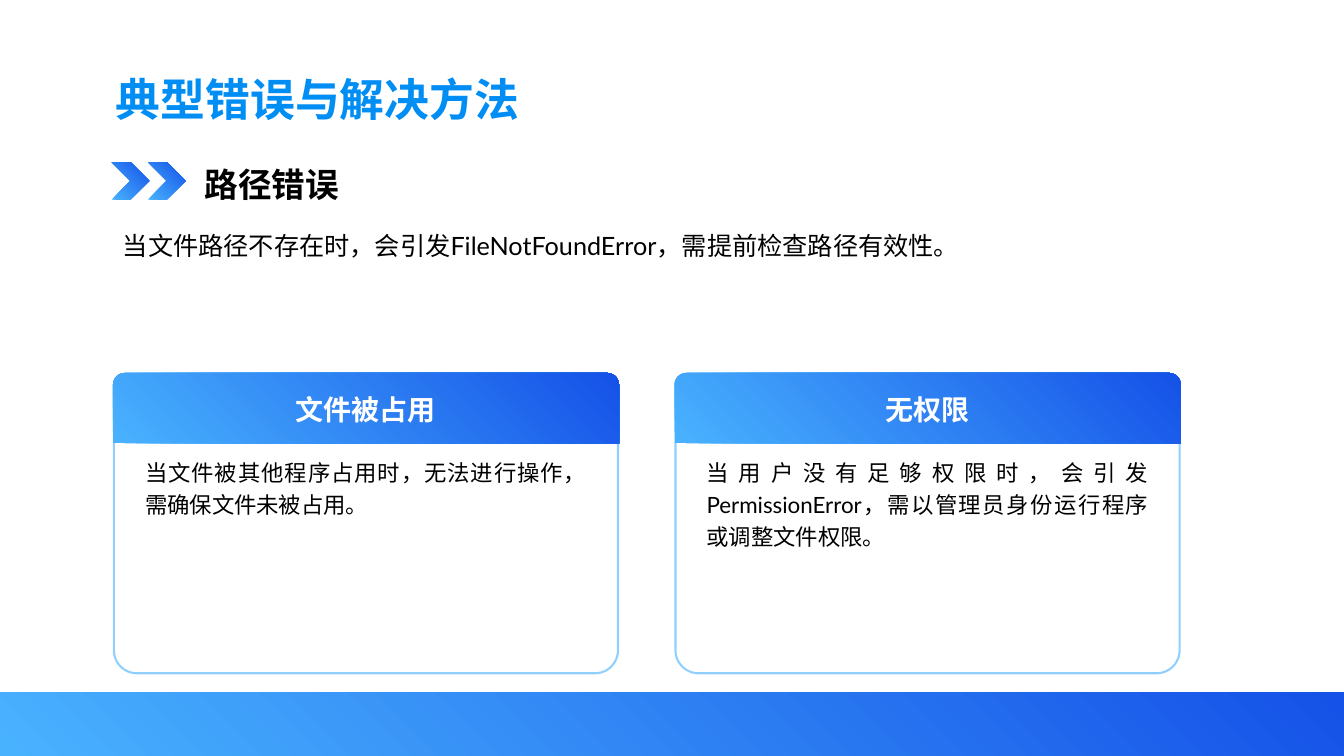
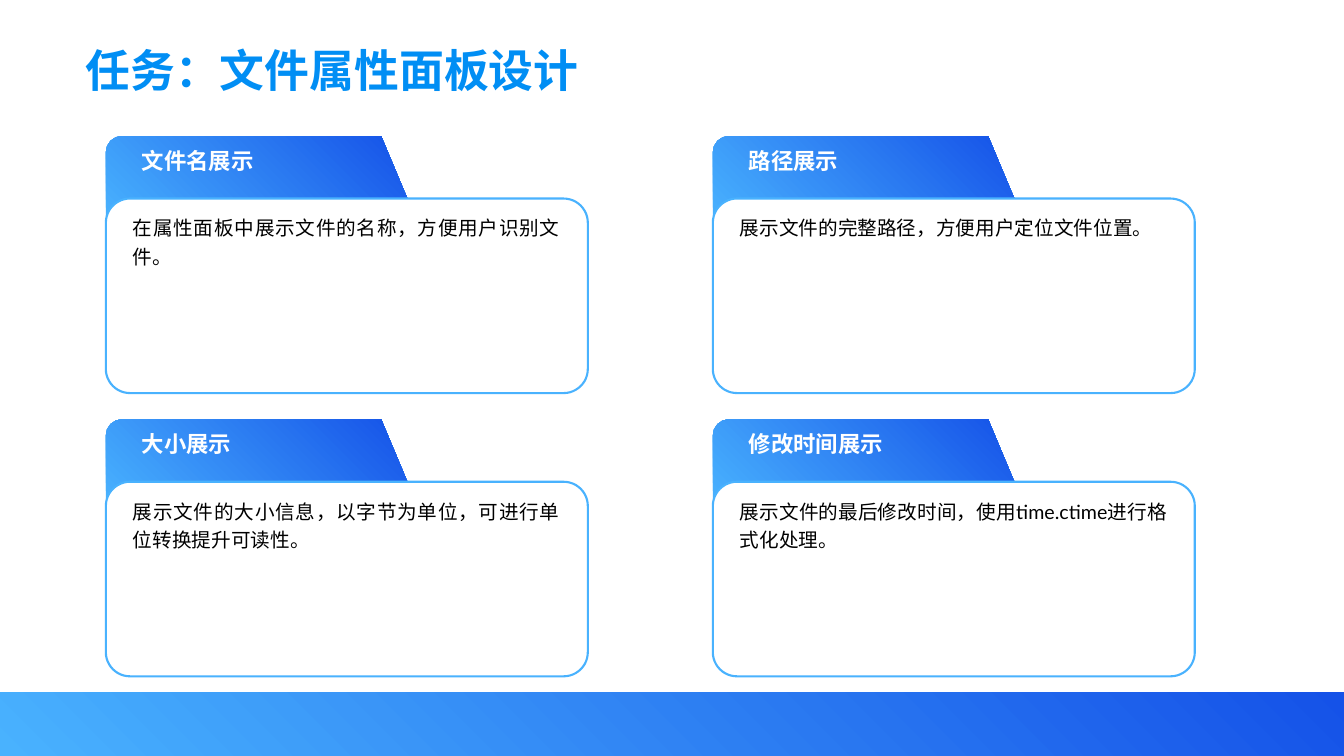
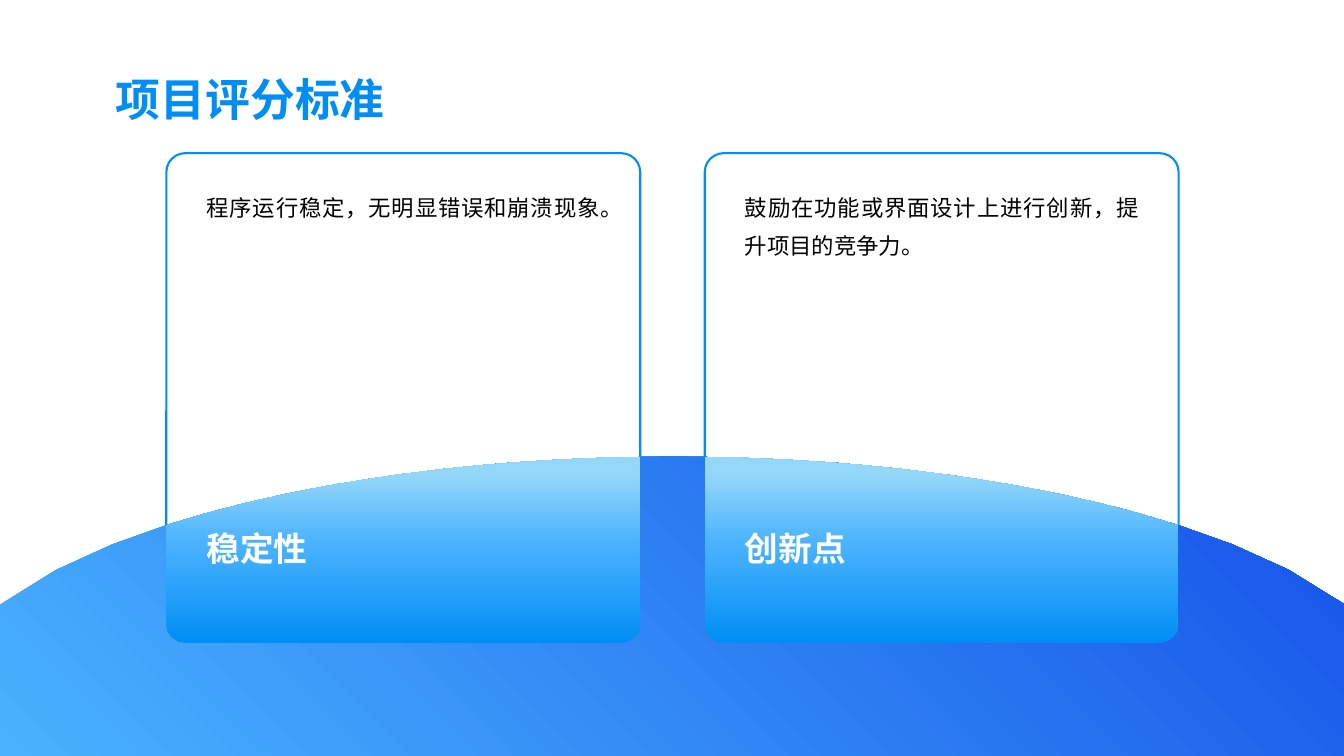
from copy import deepcopy
from dataclasses import dataclass
from math import cos, radians, sin, sqrt

from lxml.etree import SubElement
from pptx import Presentation
from pptx.dml.color import RGBColor
from pptx.enum.shapes import MSO_SHAPE as Shape
from pptx.enum.text import MSO_ANCHOR as Anchor, PP_ALIGN as Align
from pptx.oxml.ns import qn
from pptx.util import Inches, Pt


@dataclass(frozen=True)
class Theme:
    font: str = "Lato"
    title: str = "018EF4"
    sky: str = "49B2FE"
    royal: str = "1552E8"
    pale: str = "95D7F9"
    white: str = "FFFFFF"
    black: str = "000000"
    title_size: int = 32
    heading_size: int = 24
    header_size: int = 20
    lead_size: int = 18
    body_size: int = 16
    small_size: int = 14
    line_width: float = 1.5


THEME = Theme()
DIAGONAL = ([(0, THEME.sky), (1, THEME.royal)], 45)
RISING = ([(0, THEME.title), (0.53, THEME.sky), (0.91, THEME.pale), (1, THEME.pale)], 90)
WIDTH, HEIGHT = 13.33, 7.5

ERRORS = {
    "title": "典型错误与解决方法",
    "heading": "路径错误",
    "lead": "当文件路径不存在时，会引发FileNotFoundError，需提前检查路径有效性。",
    "cards": [
        ("文件被占用", "当文件被其他程序占用时，无法进行操作，需确保文件未被占用。"),
        ("无权限", "当用户没有足够权限时，会引发PermissionError，需以管理员身份运行程序或调整文件权限。"),
    ],
}
PANEL = {
    "title": "任务：文件属性面板设计",
    "folders": [
        ("文件名展示", "在属性面板中展示文件的名称，方便用户识别文件。"),
        ("路径展示", "展示文件的完整路径，方便用户定位文件位置。"),
        ("大小展示", "展示文件的大小信息，以字节为单位，可进行单位转换提升可读性。"),
        ("修改时间展示", "展示文件的最后修改时间，使用time.ctime进行格式化处理。"),
    ],
}
CRITERIA = {
    "title": "项目评分标准",
    "cards": [
        ("稳定性", "程序运行稳定，无明显错误和崩溃现象。"),
        ("创新点", "鼓励在功能或界面设计上进行创新，提升项目的竞争力。"),
    ],
}


def paint_gradient(shape, gradient):
    stops, angle = gradient
    fill = shape.fill
    fill.gradient()
    fill.gradient_angle = angle
    stop_list = shape.element.spPr.gradFill.gsLst
    while len(stop_list) < len(stops):
        stop_list.append(deepcopy(stop_list[-1]))
    for stop, (position, color) in zip(fill.gradient_stops, stops):
        stop.position = position
        stop.color.rgb = RGBColor.from_string(color)
    shape.line.fill.background()
    shape.shadow.inherit = False


def add_gradient_shape(page, kind, left, top, width, height):
    shape = page.shapes.add_shape(kind, *map(Inches, (left, top, width, height)))
    paint_gradient(shape, DIAGONAL)


def add_outline(page, points, gradient):
    """Draw a closed, gradient-filled outline through points in inches."""
    start, *rest = [(Inches(x), Inches(y)) for x, y in points]
    builder = page.shapes.build_freeform(*start)
    builder.add_line_segments(rest, close=True)
    paint_gradient(builder.convert_to_shape(), gradient)


def add_frame(page, left, top, width, height, rounding, color, opacity=100):
    frame = page.shapes.add_shape(
        Shape.ROUNDED_RECTANGLE, *map(Inches, (left, top, width, height)))
    frame.adjustments[0] = rounding
    frame.fill.solid()
    frame.fill.fore_color.rgb = RGBColor.from_string(THEME.white)
    frame.line.color.rgb = RGBColor.from_string(color)
    frame.line.width = Pt(THEME.line_width)
    frame.shadow.inherit = False
    if opacity < 100:
        line_color = frame.element.spPr.find(qn("a:ln")).find(".//" + qn("a:srgbClr"))
        SubElement(line_color, qn("a:alpha")).set("val", str(opacity * 1000))


def add_text(page, text, left, top, width, height, size, color=THEME.black,
             bold=False, align=Align.JUSTIFY, spacing=None):
    box = page.shapes.add_textbox(*map(Inches, (left, top, width, height)))
    frame = box.text_frame
    frame.word_wrap = True
    frame.vertical_anchor = Anchor.TOP
    para = frame.paragraphs[0]
    para.text = text
    para.alignment = align
    if spacing:
        para.line_spacing = spacing
    font = para.font
    font.name, font.size, font.bold = THEME.font, Pt(size), bold
    font.color.rgb = RGBColor.from_string(color)


def add_page(deck, title, left=1.05, top=0.66, band=True):
    page = deck.slides.add_slide(deck.slide_layouts[6])
    add_text(page, title, left, top, 10.72, 0.64, THEME.title_size, THEME.title,
             bold=True, align=Align.LEFT)
    if band:
        add_gradient_shape(page, Shape.RECTANGLE, 0, 6.87, WIDTH, 0.63)
    return page


def arc(x, y, radius, start, end, steps=4):
    """Points on a circle; angles in degrees, clockwise from the right."""
    angles = [radians(start + (end - start) * i / steps) for i in range(steps + 1)]
    return [(x + radius * cos(a), y + radius * sin(a)) for a in angles]


def dome_curve(left, right, steps):
    """Points along the top of the wide ellipse, from left to right."""
    center, top, half_width, half_height = 6.67, 4.53, 7.32, 2.5
    xs = [left + (right - left) * i / steps for i in range(steps + 1)]
    return [(x, top + half_height * (1 - sqrt(1 - ((x - center) / half_width) ** 2)))
            for x in xs]


def build_errors(deck):
    page = add_page(deck, ERRORS["title"])
    for left in (1.11, 1.47):
        add_gradient_shape(page, Shape.CHEVRON, left, 1.61, 0.37, 0.37)
    add_text(page, ERRORS["heading"], 1.93, 1.58, 5.08, 0.5, THEME.heading_size, bold=True)
    add_text(page, ERRORS["lead"], 1.12, 2.15, 10.71, 1.28, THEME.lead_size, spacing=1.3)
    for column, (header, body) in enumerate(ERRORS["cards"]):
        left = 1.13 + column * 5.57
        add_frame(page, left, 3.71, 5, 2.97, 0.077, THEME.sky, opacity=60)
        add_gradient_shape(page, Shape.ROUND_2_SAME_RECTANGLE, left - 0.01, 3.7, 5.02, 0.7)
        add_text(page, header, left + 0.2, 3.84, 4.6, 0.44, THEME.header_size,
                 THEME.white, bold=True, align=Align.CENTER)
        add_text(page, body, left + 0.21, 4.45, 4.58, 2.04, THEME.body_size, spacing=1.2)


def build_panel(deck):
    page = add_page(deck, PANEL["title"], 0.75, 0.37)
    for index, (header, body) in enumerate(PANEL["folders"]):
        row, column = divmod(index, 2)
        left, top = 1.05 + column * 6.02, 1.35 + row * 2.81
        fold = top + 0.62
        tab = [
            *arc(left + 0.16, top + 0.16, 0.16, 180, 270),
            (left + 2.73, top),
            (left + 2.99, fold),
            *arc(left + 0.25, fold + 0.25, 0.25, 270, 180),
        ]
        add_outline(page, tab, DIAGONAL)
        add_frame(page, left, fold, 4.78, 1.93, 0.124, THEME.sky)
        add_text(page, header, left + 0.26, top + 0.06, 2.46, 0.64, THEME.body_size,
                 THEME.white, bold=True)
        add_text(page, body, left + 0.17, fold + 0.08, 4.43, 1.77, THEME.small_size,
                 spacing=1.2)


def build_criteria(deck):
    page = add_page(deck, CRITERIA["title"], band=False)
    top, width, height, radius = 1.52, 4.7, 4.86, 0.19
    bottom = top + height
    lefts = [1.65 + column * 5.34 for column in range(len(CRITERIA["cards"]))]
    for left in lefts:
        add_frame(page, left, top, width, height, 0.04, THEME.title)
    add_outline(page, [*dome_curve(0, WIDTH, 24), (WIDTH, HEIGHT), (0, HEIGHT)], DIAGONAL)
    for left, (header, body) in zip(lefts, CRITERIA["cards"]):
        right = left + width
        panel = [
            *dome_curve(left, right, 12),
            *arc(right - radius, bottom - radius, radius, 0, 90),
            *arc(left + radius, bottom - radius, radius, 90, 180),
        ]
        add_outline(page, panel, RISING)
        add_text(page, header, left + 0.3, 5.19, 4.11, 0.4, THEME.heading_size,
                 THEME.white, bold=True)
        add_text(page, body, left + 0.3, 1.77, 4.11, 0.75, THEME.body_size, spacing=1.4)


def main():
    deck = Presentation()
    deck.slide_width, deck.slide_height = Inches(WIDTH), Inches(HEIGHT)
    build_errors(deck)
    build_panel(deck)
    build_criteria(deck)
    deck.save("out.pptx")


if __name__ == "__main__":
    main()
